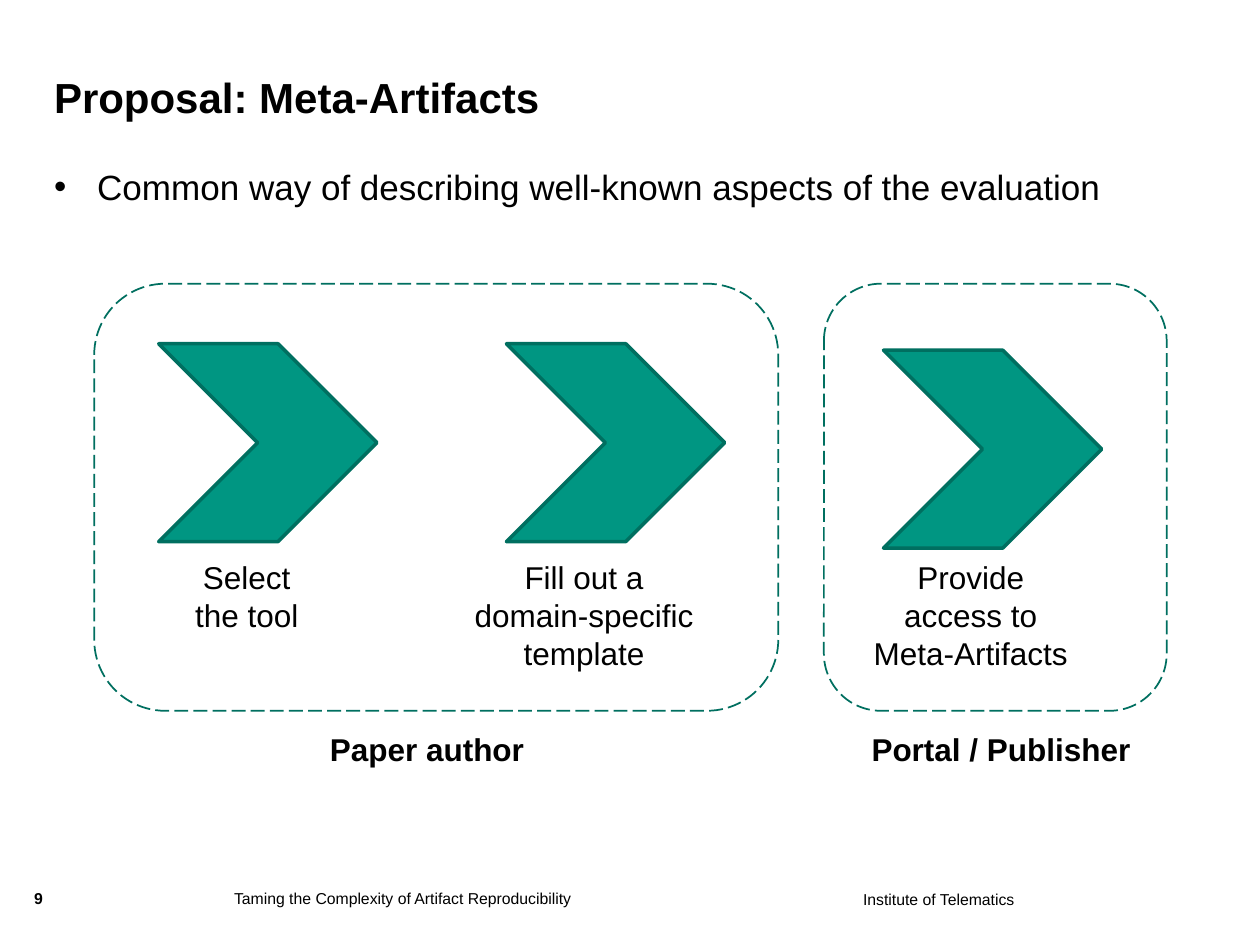
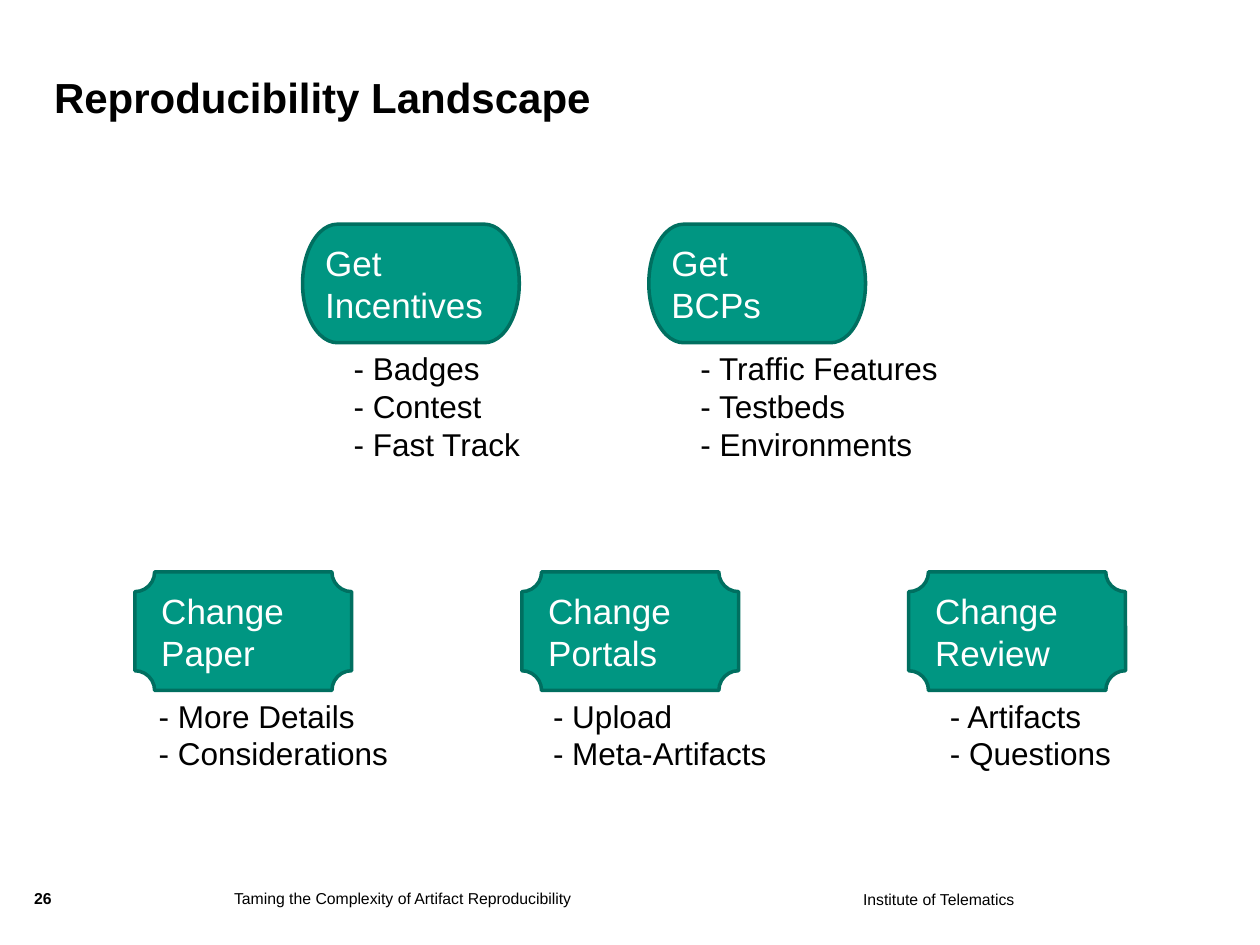
from lxml import etree
from pptx import Presentation
from pptx.dml.color import RGBColor
from pptx.enum.dml import MSO_LINE
from pptx.enum.shapes import MSO_SHAPE
from pptx.enum.text import MSO_ANCHOR, PP_ALIGN
from pptx.oxml.ns import qn
from pptx.util import Cm, Pt

CHEVRON = MSO_SHAPE.CHEVRON
ROUND = MSO_SHAPE.ROUNDED_RECTANGLE
PILL = MSO_SHAPE.FLOWCHART_TERMINATOR
PLAQUE = MSO_SHAPE.PLAQUE
DASH = MSO_LINE.LONG_DASH
LEFT, CENTER = PP_ALIGN.LEFT, PP_ALIGN.CENTER
TOP, MIDDLE, BOTTOM = MSO_ANCHOR.TOP, MSO_ANCHOR.MIDDLE, MSO_ANCHOR.BOTTOM

GREEN, DARK, BLACK, WHITE = "009682", "006F60", "000000", "FFFFFF"
FONT = "Arial"
color = RGBColor.from_string


def write(shape, text, size, ink=BLACK, bold=False, align=LEFT, anchor=TOP, inset=True, wrap=True):
    frame = shape.text_frame
    frame.word_wrap = wrap
    frame.vertical_anchor = anchor
    if not inset:
        frame.margin_left = frame.margin_right = frame.margin_top = frame.margin_bottom = 0
    for i, line in enumerate(text.split("\n")):
        para = frame.add_paragraph() if i else frame.paragraphs[0]
        para.alignment = align
        run = para.add_run()
        run.text = line
        run.font.name = FONT
        run.font.size = Pt(size)
        run.font.bold = bold
        run.font.color.rgb = color(ink)
    return frame


def draw(slide, kind, box, fill=GREEN, width=2):
    shape = slide.shapes.add_shape(kind, *map(Cm, box))
    shape.shadow.inherit = False
    if fill:
        shape.fill.solid()
        shape.fill.fore_color.rgb = color(fill)
    else:
        shape.fill.background()
    shape.line.color.rgb = color(DARK)
    shape.line.width = Pt(width)
    return shape


deck = Presentation()
deck.slide_width, deck.slide_height = Cm(25.4), Cm(19.05)

pages = []
for title, number in (("Proposal: Meta-Artifacts", "9"), ("Reproducibility Landscape", "26")):
    slide = deck.slides.add_slide(deck.slide_layouts[6])
    pages.append(slide)
    for text, box, size, bold, anchor in (
        (title, (1.09, 0.91, 19.2, 1.55), 24, True, BOTTOM),
        (number, (0.69, 17.91, 0.91, 0.61), 9, True, TOP),
        ("Taming the Complexity of Artifact Reproducibility", (4.72, 17.91, 11.81, 0.99), 9, False, TOP),
        ("Institute of Telematics", (17.4, 17.94, 3.6, 0.99), 9, False, TOP),
    ):
        label = slide.shapes.add_textbox(*map(Cm, box))
        write(label, text, size, bold=bold, anchor=anchor, inset=False)

steps, map_page = pages

body = steps.shapes.add_textbox(Cm(1.09), Cm(3.33), Cm(23.22), Cm(2.18))
frame = write(body, "Common way of describing well-known aspects of the evaluation", 20, inset=False)
props = frame.paragraphs[0]._p.get_or_add_pPr()
props.set("marL", str(Cm(0.87)))
props.set("indent", str(-Cm(0.87)))
etree.SubElement(props, qn("a:buFont")).set("typeface", FONT)
etree.SubElement(props, qn("a:buChar")).set("char", "•")

for left, top, text, start, width in (
    (3.2, 6.93, "Select the tool", 3.4, 3.15),
    (10.21, 6.93, "Fill out a\ndomain-specific template", 9.25, 5.05),
    (17.81, 7.06, "Provide access to Meta-Artifacts", 17.27, 4.6),
):
    draw(steps, CHEVRON, (left, top, 4.4, 3.99))
    label = steps.shapes.add_textbox(Cm(start), Cm(11.13), Cm(width), Cm(2.57))
    write(label, text, 18, align=CENTER)

for left, width, role, start, span in (
    (1.9, 13.79, "Paper author", 6.4, 4.55),
    (16.61, 6.91, "Portal / Publisher", 17.32, 5.79),
):
    group = draw(steps, ROUND, (left, 5.72, width, 8.61), None, 1)
    group.line.dash_style = DASH
    label = steps.shapes.add_textbox(Cm(start), Cm(14.6), Cm(span), Cm(1.02))
    write(label, role, 18, bold=True, wrap=False)

WIDE, HIGH = 4.37, 2.39
rows = (
    (PILL, 6.1, 6.98, 4.52, (
        ("Get\nIncentives", "- Badges\n- Contest\n- Fast Track", 6.88, 3.89),
        ("Get\nBCPs", "- Traffic Features\n- Testbeds\n- Environments", 13.87, 5.33),
    )),
    (PLAQUE, 2.72, 7.8, 11.53, (
        ("Change\nPaper", "- More Details\n- Considerations", 2.95, 5.18),
        ("Change\nPortals", "- Upload\n- Meta-Artifacts", 10.9, 4.85),
        ("Change\nReview", "- Artifacts\n- Questions", 18.9, 3.78),
    )),
)
for kind, left, pitch, top, goals in rows:
    for i, (goal, points, start, width) in enumerate(goals):
        shape = draw(map_page, kind, (left + i * pitch, top, WIDE, HIGH))
        write(shape, goal, 20, WHITE, anchor=MIDDLE)
        height = 0.25 + 0.77 * len(points.split("\n"))
        label = map_page.shapes.add_textbox(Cm(start), Cm(top + HIGH), Cm(width), Cm(height))
        write(label, points, 18, wrap=False)

deck.save("out.pptx")
